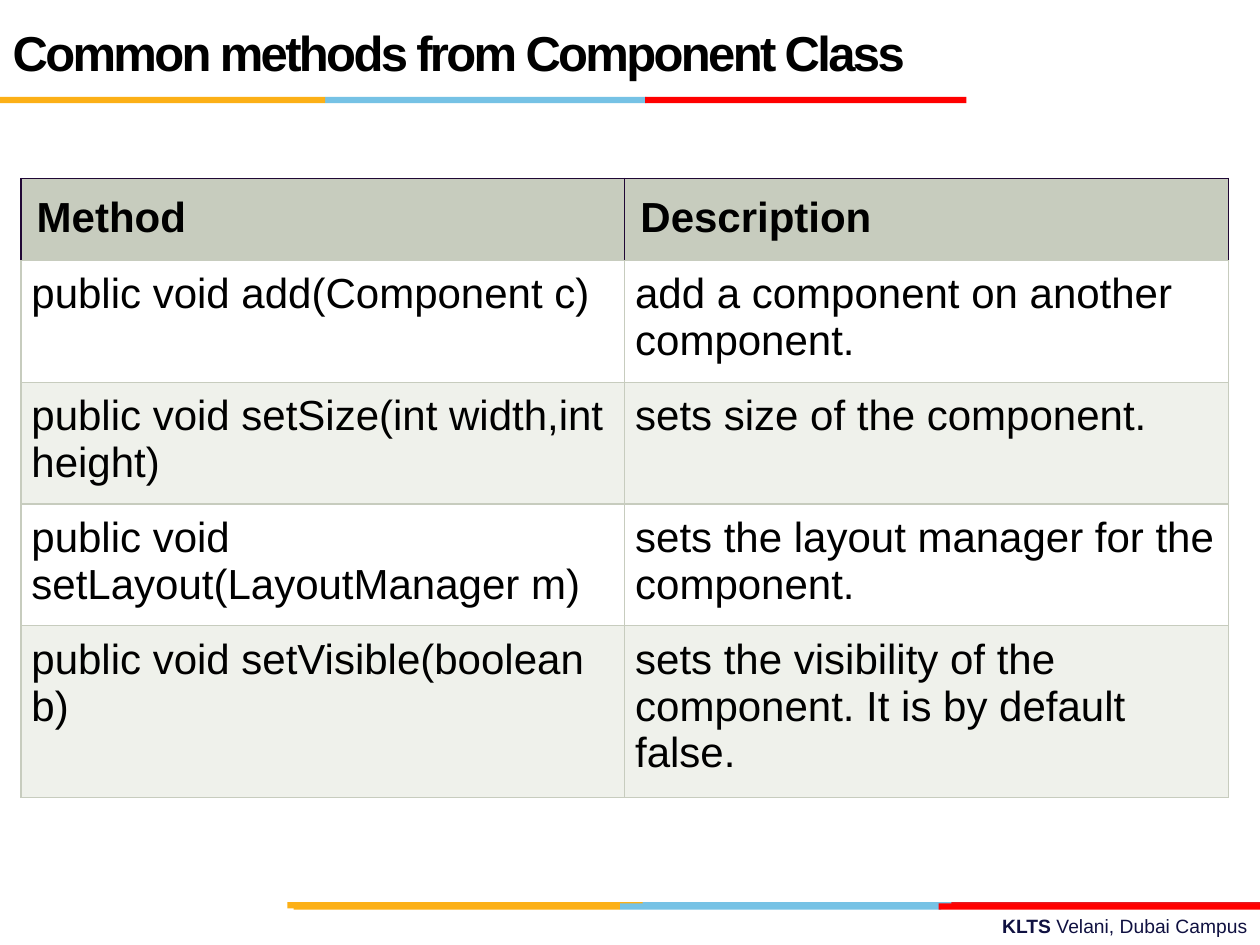
from lxml import etree
from pptx import Presentation
from pptx.dml.color import RGBColor
from pptx.enum.shapes import MSO_SHAPE
from pptx.enum.text import MSO_ANCHOR, MSO_AUTO_SIZE, PP_ALIGN
from pptx.oxml.ns import qn
from pptx.util import Pt

RECT = MSO_SHAPE.RECTANGLE
MIDDLE = MSO_ANCHOR.MIDDLE
NO_AUTOFIT = MSO_AUTO_SIZE.NONE
LEFT, RIGHT = PP_ALIGN.LEFT, PP_ALIGN.RIGHT

COLORS = {
    "text": "000000", "footer": "101141",
    "orange": "FCB017", "blue": "76C2E5", "red": "FF0000", "dark_red": "E31C24",
    "sage": "C7CCBE", "band": "EFF1EB", "white": "FFFFFF", "purple": "200735",
}

# Each strip: top, then (left, width, colour) from back to front
STRIPS = [
    (515.5, [(364.3, 183.6, "blue"), (543.6, 176.4, "dark_red"), (164.2, 203, "orange")]),
    (516.2, [(354.2, 183.6, "blue"), (167.8, 186.4, "orange"), (536.4, 183.6, "red")]),
    (55.4, [(185.8, 183.6, "blue"), (0, 185.8, "orange"), (368.6, 183.6, "red")]),
]
STRIP_HEIGHT = 3.6

METHODS = [
    ("Method", "Description"),
    ("public void add(Component c)", "add a component on another component."),
    ("public void setSize(int width,int height)", "sets size of the component."),
    ("public void setLayout(LayoutManager m)", "sets the layout manager for the component."),
    ("public void setVisible(boolean b)",
     "sets the visibility of the component. It is by default false."),
]
ROW_HEIGHTS = [46.8, 69.6, 69.6, 69.6, 98.4]


def rgb(name):
    return RGBColor.from_string(COLORS[name])


class SlideBuilder:
    font = "Arial"

    def __init__(self, slide):
        self.slide = slide

    def style(self, r, size, color="text", bold=False):
        r.font.name = self.font
        r.font.size = Pt(size)
        r.font.bold = bold
        r.font.color.rgb = rgb(color)

    def title(self, text, left, top, width, height):
        sp = self.slide.shapes.title
        sp.left, sp.top, sp.width, sp.height = map(Pt, (left, top, width, height))
        tf = sp.text_frame
        tf.text = text
        tf.auto_size = NO_AUTOFIT
        tf.vertical_anchor = MIDDLE
        p = tf.paragraphs[0]
        p.alignment = LEFT
        p.line_spacing = Pt(36)
        r = p.runs[0]
        self.style(r, 28, bold=True)
        r.font._element.set("spc", "-150")

    def bar(self, left, top, width, height, color):
        sp = self.slide.shapes.add_shape(RECT, Pt(left), Pt(top), Pt(width), Pt(height))
        sp.shadow.inherit = False
        sp.fill.solid()
        sp.fill.fore_color.rgb = rgb(color)
        sp.line.fill.background()

    def footer(self, parts, left, top, width, height):
        """Right-aligned line made of (text, bold) parts."""
        sp = self.slide.shapes.add_textbox(Pt(left), Pt(top), Pt(width), Pt(height))
        sp.text_frame.word_wrap = True
        p = sp.text_frame.paragraphs[0]
        p.alignment = RIGHT
        for text, bold in parts:
            r = p.add_run()
            r.text = text
            self.style(r, 11, "footer", bold)

    def borders(self, cell, colors):
        """Colours are for the left, right, top and bottom sides."""
        tc_pr = cell._tc.get_or_add_tcPr()
        for side, color in zip("LRTB", colors):
            ln = etree.SubElement(tc_pr, qn(f"a:ln{side}"), w=str(Pt(0.75)))
            fill = etree.SubElement(ln, qn("a:solidFill"))
            etree.SubElement(fill, qn("a:srgbClr"), val=COLORS[color])

    def cell(self, cell, text, fill, margin, bold, edges):
        cell.margin_left = cell.margin_right = Pt(margin)
        cell.margin_top = cell.margin_bottom = Pt(margin)
        self.borders(cell, edges)
        cell.fill.solid()
        cell.fill.fore_color.rgb = rgb(fill)
        cell.text_frame.text = text
        self.style(cell.text_frame.paragraphs[0].runs[0], 24, bold=bold)

    def table(self, rows, heights, left, top, width):
        frame = self.slide.shapes.add_table(
            len(rows), len(rows[0]), Pt(left), Pt(top), Pt(width), Pt(sum(heights)))
        table = frame.table
        table.first_row = table.horz_banding = False
        for i, (row, height) in enumerate(zip(rows, heights)):
            table.rows[i].height = Pt(height)
            for j, text in enumerate(row):
                cell = table.cell(i, j)
                if i == 0:
                    self.cell(cell, text, "sage", 9, True, ["purple"] * 3 + ["sage"])
                else:
                    fill = "white" if i % 2 else "band"
                    self.cell(cell, text, fill, 6, False, ["sage"] * 4)


def main():
    prs = Presentation()
    prs.slide_width, prs.slide_height = Pt(720), Pt(540)
    s = SlideBuilder(prs.slides.add_slide(prs.slide_layouts[5]))
    s.footer([("KLTS ", True), ("Velani, Dubai Campus", False)], 257.8, 519, 462.2, 21)
    for top, bars in STRIPS:
        for left, width, color in bars:
            s.bar(left, top, width, STRIP_HEIGHT, color)
    s.table(METHODS, ROW_HEIGHTS, 12, 102, 690)
    s.title("Common methods from Component Class", 0, 14.4, 546, 28)
    prs.save("out.pptx")


if __name__ == "__main__":
    main()
